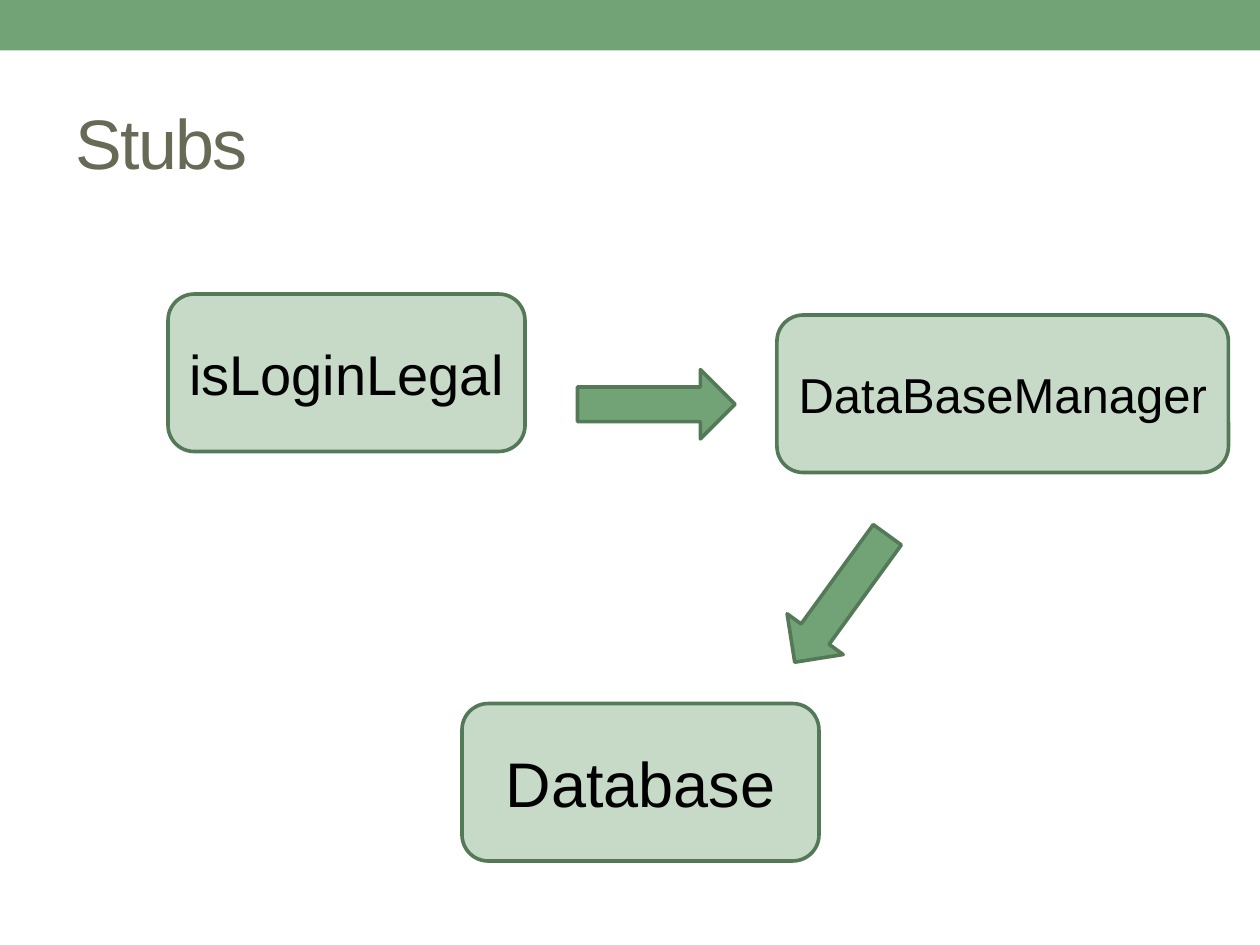
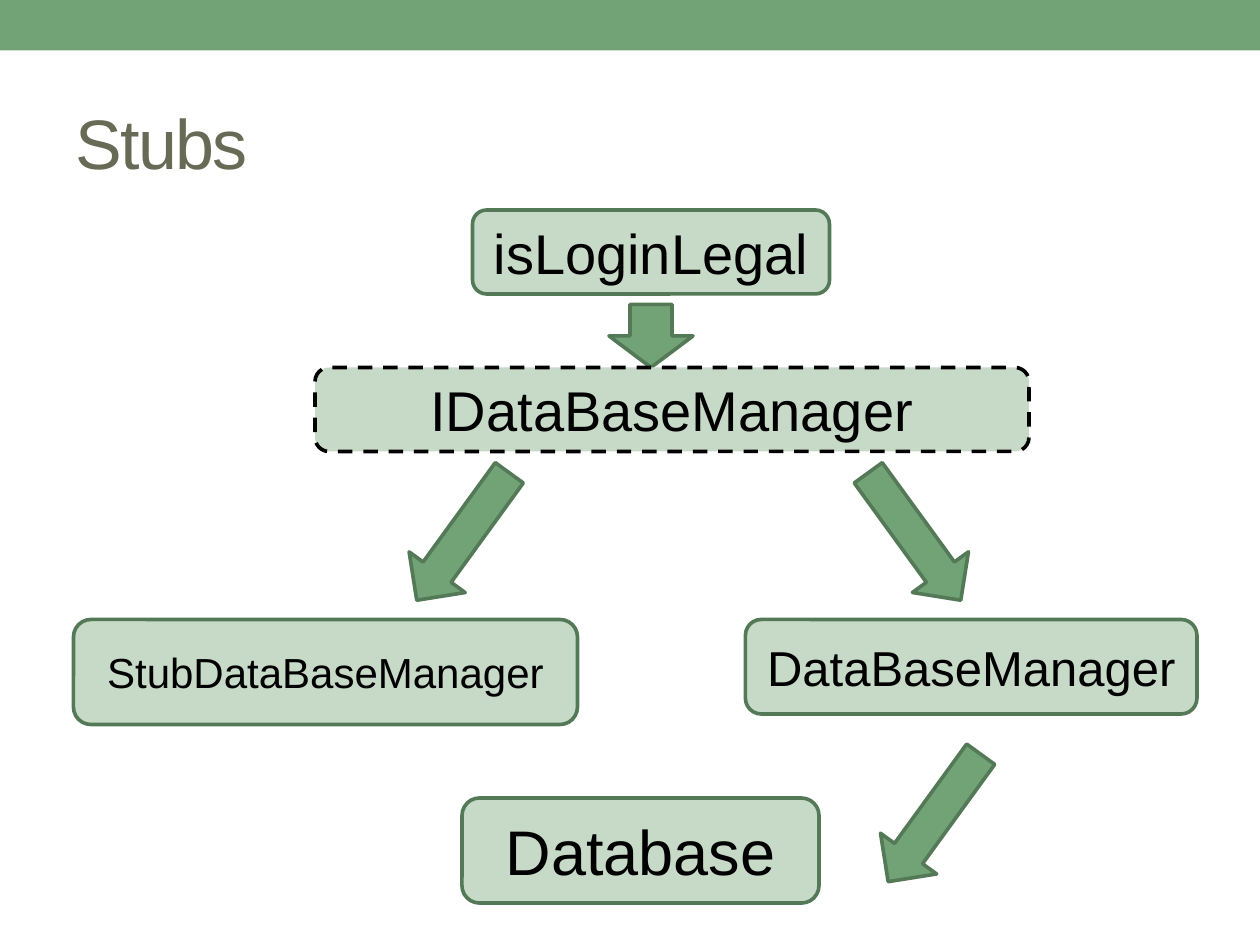
from collections import namedtuple

from pptx import Presentation
from pptx.dml.color import RGBColor
from pptx.enum.dml import MSO_LINE
from pptx.enum.shapes import MSO_SHAPE
from pptx.enum.text import MSO_ANCHOR, PP_ALIGN
from pptx.util import Inches, Pt

GREEN = RGBColor(0x72, 0xA3, 0x76)
PALE_GREEN = RGBColor(0xC7, 0xDA, 0xC8)
DARK_GREEN = RGBColor(0x54, 0x79, 0x57)
OLIVE = RGBColor(0x67, 0x6A, 0x55)
BLACK = RGBColor(0, 0, 0)

FONT = "Arial"
CELL = Inches(10) / 120  # the slide is a grid of 120 columns by 90 rows

Box = namedtuple("Box", "col row cols rows")
Node = namedtuple("Node", "label size box dashed", defaults=[False])
Arrow = namedtuple("Arrow", "box rotation", defaults=[0])

BAND = Box(0, 0, 120, 4.8)
TITLE = Box(6, 7, 108, 13)
DIAGRAM = Box(0, 20, 120, 70)

LONG_ARROW = (6.6, 15)
LEFT_TURN, RIGHT_TURN, SIDEWAYS = 36, 324, 270

CALL_CHAIN = dict(
    arrows=[
        Arrow(Box(59.2, 11, *LONG_ARROW), SIDEWAYS),
        Arrow(Box(76.8, 29.5, *LONG_ARROW), LEFT_TURN),
    ],
    nodes=[
        Node("isLoginLegal", 32, Box(16, 8, 34, 15)),
        Node("Database", 36, Box(44, 47, 34, 15)),
        Node("DataBaseManager", 28, Box(74, 10, 43, 15)),
    ],
)
STUBBED_CHAIN = dict(
    arrows=[
        Arrow(Box(58, 9, 8, 6)),
        Arrow(Box(40.8, 23.6, *LONG_ARROW), LEFT_TURN),
        Arrow(Box(83.8, 23.6, *LONG_ARROW), RIGHT_TURN),
        Arrow(Box(85.7, 50.4, *LONG_ARROW), LEFT_TURN),
    ],
    nodes=[
        Node("isLoginLegal", 32, Box(45, 0, 34, 8)),
        Node("IDataBaseManager", 32, Box(30, 15, 68, 8), dashed=True),
        Node("StubDataBaseManager", 24, Box(7, 39, 48, 10)),
        Node("DataBaseManager", 28, Box(71, 39, 43, 9)),
        Node("Database", 36, Box(44, 56, 34, 10)),
    ],
)


def set_all(target, **values):
    for name, value in values.items():
        setattr(target, name, value)


def emu(box):
    return [round(n * CELL) for n in box]


def within(area, box):
    """Shift a box given relative to an area onto the slide grid."""
    return box._replace(col=area.col + box.col, row=area.row + box.row)


def write(tf, text, size, color, align):
    tf.vertical_anchor = MSO_ANCHOR.MIDDLE
    p = tf.paragraphs[0]
    p.alignment = align
    r = p.add_run()
    r.text = text
    set_all(r.font, name=FONT, size=Pt(size))
    r.font.color.rgb = color
    return r


def add_shape(s, preset, box, fill, line=None, dashed=False):
    sp = s.shapes.add_shape(preset, *emu(box))
    sp.shadow.inherit = False
    sp.fill.solid()
    sp.fill.fore_color.rgb = fill
    if line is None:
        sp.line.fill.background()
    else:
        sp.line.color.rgb = line
        sp.line.width = Pt(2.08)
        if dashed:
            sp.line.dash_style = MSO_LINE.DASH
    return sp


def add_band(prs, s):
    """Draw the top band on a slide, then move it to the back of the master."""
    band = add_shape(s, MSO_SHAPE.RECTANGLE, BAND, GREEN)
    band.element.nvSpPr.cNvPr.set("id", "20")
    prs.slide_master.shapes.element.insert(2, band.element)


def add_title(s, text, box):
    title = s.shapes.title
    set_all(title, **dict(zip(("left", "top", "width", "height"), emu(box))))
    r = write(title.text_frame, text, 40, OLIVE, PP_ALIGN.LEFT)
    r.font._element.set("spc", "-100")


def add_node(s, area, node):
    line = BLACK if node.dashed else DARK_GREEN
    sp = add_shape(s, MSO_SHAPE.ROUNDED_RECTANGLE, within(area, node.box),
                   PALE_GREEN, line, node.dashed)
    sp.text_frame.word_wrap = False
    write(sp.text_frame, node.label, node.size, BLACK, PP_ALIGN.CENTER)


def add_arrow(s, area, arrow):
    sp = add_shape(s, MSO_SHAPE.DOWN_ARROW, within(area, arrow.box), GREEN, DARK_GREEN)
    sp.rotation = arrow.rotation


def add_diagram(s, area, arrows, nodes):
    for arrow in arrows:
        add_arrow(s, area, arrow)
    for node in nodes:
        add_node(s, area, node)


def main():
    prs = Presentation()
    set_all(prs, slide_width=Inches(10), slide_height=Inches(7.5))
    title_only = prs.slide_layouts[5]
    for diagram in (CALL_CHAIN, STUBBED_CHAIN):
        s = prs.slides.add_slide(title_only)
        add_title(s, "Stubs", TITLE)
        add_diagram(s, DIAGRAM, **diagram)
    add_band(prs, s)
    prs.save("out.pptx")


if __name__ == "__main__":
    main()
